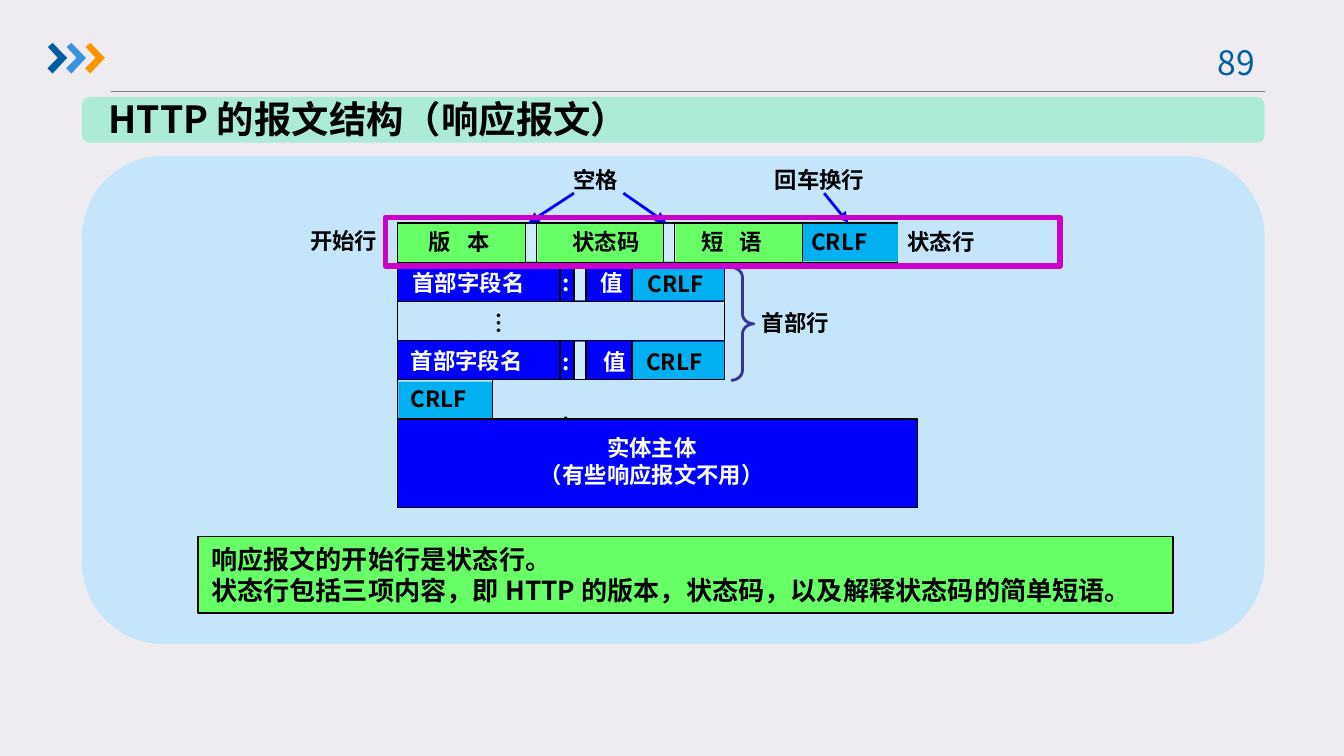
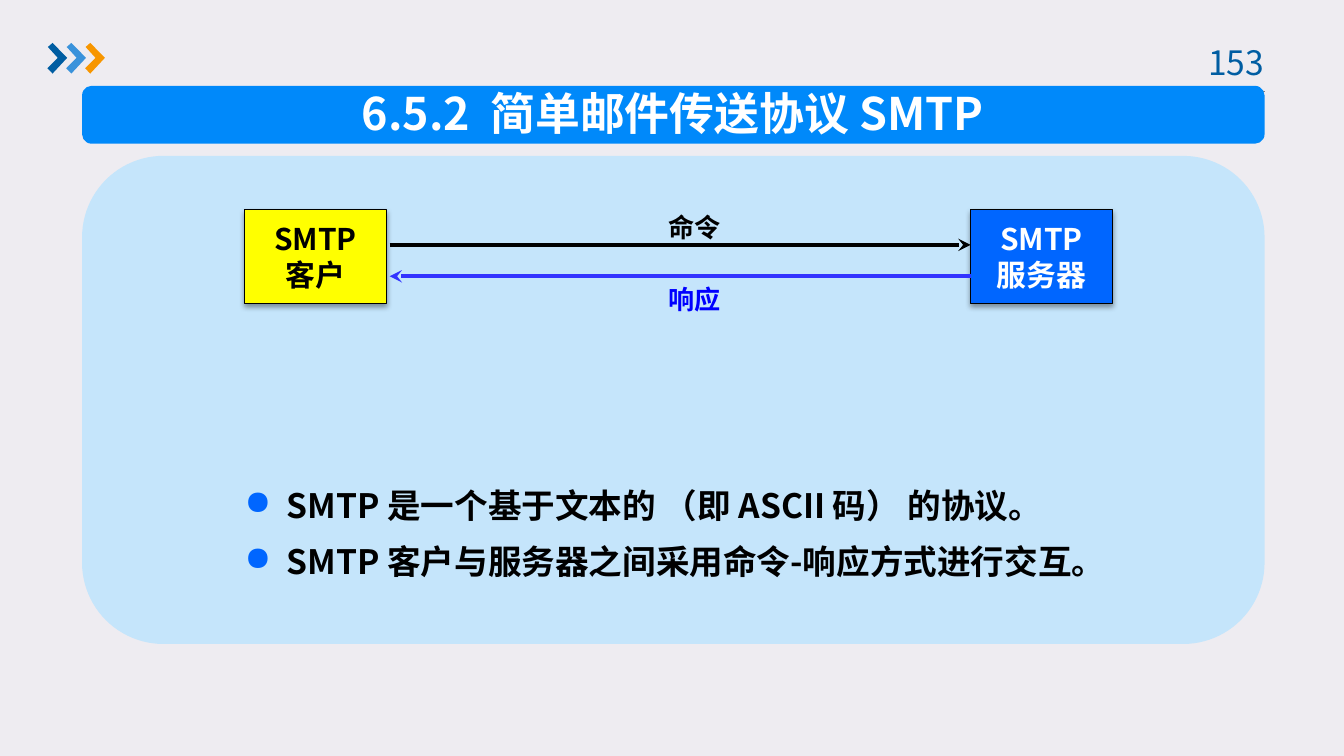
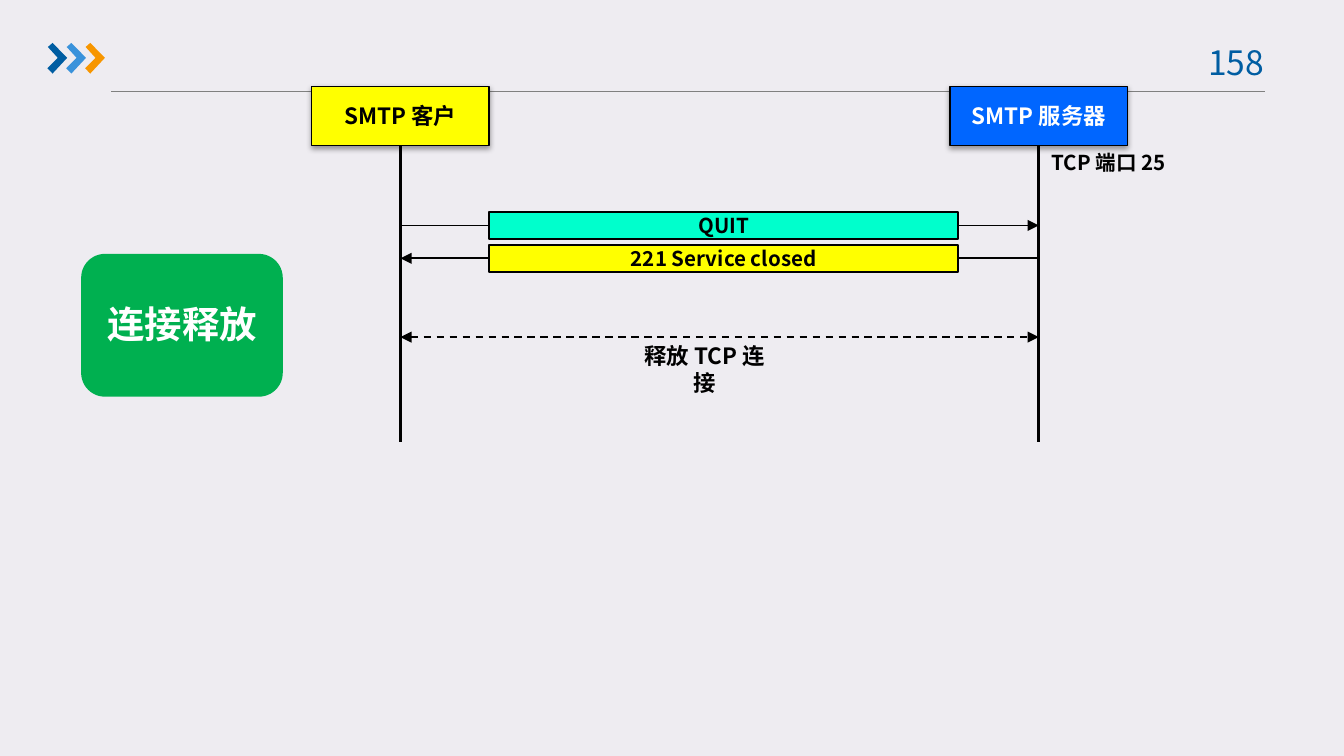
from lxml import etree
from pptx import Presentation
from pptx import util as u
from pptx.dml.color import RGBColor
from pptx.enum import dml, shapes, text
from pptx.oxml import ns

Pt = u.Pt
FONT = "Noto Sans CJK SC"
RECT = shapes.MSO_SHAPE.RECTANGLE
ROUND = shapes.MSO_SHAPE.ROUNDED_RECTANGLE
LEFT, CENTER = text.PP_ALIGN.LEFT, text.PP_ALIGN.CENTER
TOP, MIDDLE = text.MSO_ANCHOR.TOP, text.MSO_ANCHOR.MIDDLE

C = {
    "page": "EEECF1", "rule": "808080", "navy": "005DA2", "sky": "3992DB",
    "orange": "F79600", "panel": "C5E5FB", "mint": "ABEBD7", "band": "0089FA",
    "black": "000000", "white": "FFFFFF", "blue": "0000FF", "lime": "66FF66",
    "cyan": "00B0F0", "gap": "CCECFF", "brace": "333399", "magenta": "CC00CC",
    "yellow": "FFFF00", "server": "0066FF", "reply": "3333FF",
    "green": "00B050", "aqua": "00FFCC",
}
C = {name: RGBColor.from_string(value) for name, value in C.items()}


def box(slide, x, y, w, h, words="", size=12, ink="black", bold=True, kind=None,
        fill=None, outline=None, weight=0.75, adjust=(), align=CENTER,
        anchor=MIDDLE, spacing=0, wrap=False, shadow=False):
    """A preset shape, or a text box when no kind is given."""
    place = Pt(x), Pt(y), Pt(w), Pt(h)
    if kind is None:
        shape = slide.shapes.add_textbox(*place)
        anchor = TOP
    else:
        shape = slide.shapes.add_shape(kind, *place)
        shape.shadow.inherit = False
        wrap = True
        for i, value in enumerate(adjust):
            shape.adjustments[i] = value
        if fill:
            shape.fill.solid()
            shape.fill.fore_color.rgb = C[fill]
        else:
            shape.fill.background()
        if outline:
            shape.line.color.rgb = C[outline]
            shape.line.width = Pt(weight)
        else:
            shape.line.fill.background()
    if shadow:
        effects = shape._element.spPr.find(ns.qn("a:effectLst"))
        outer = etree.SubElement(effects, ns.qn("a:outerShdw"), blurRad=str(Pt(3.1)),
                                 dist=str(Pt(1.6)), dir="5400000", rotWithShape="0")
        tint = etree.SubElement(outer, ns.qn("a:srgbClr"), val=str(C["black"]))
        etree.SubElement(tint, ns.qn("a:alpha"), val="38000")
    if words:
        frame = shape.text_frame
        frame.word_wrap = wrap
        frame.vertical_anchor = anchor
        if kind is None:
            frame.auto_size = text.MSO_AUTO_SIZE.SHAPE_TO_FIT_TEXT
        for i, line in enumerate(words.split("\n")):
            paragraph = frame.add_paragraph() if i else frame.paragraphs[0]
            paragraph.alignment = align
            run = paragraph.add_run()
            run.text = line
            run.font.size = Pt(size)
            run.font.bold = bold
            run.font.name = FONT
            run.font.color.rgb = C[ink]
            props = run._r.get_or_add_rPr()
            etree.SubElement(props, ns.qn("a:ea"), typeface=FONT)
            if spacing:
                props.set("spc", str(spacing * 100))
    return shape


def connect(slide, x1, y1, x2, y2, color="black", weight=0.75, head=None, tail=None,
            dashed=False):
    """A straight line with optional arrowheads at its start and end."""
    line = slide.shapes.add_connector(shapes.MSO_CONNECTOR.STRAIGHT,
                                      Pt(x1), Pt(y1), Pt(x2), Pt(y2))
    line.line.color.rgb = C[color]
    line.line.width = Pt(weight)
    if dashed:
        line.line.dash_style = dml.MSO_LINE.DASH
    for tag, arrow in (("a:headEnd", head), ("a:tailEnd", tail)):
        if arrow:
            etree.SubElement(line.line._get_or_add_ln(), ns.qn(tag), type=arrow)
    etree.SubElement(line._element.spPr, ns.qn("a:effectLst"))
    return line


prs = Presentation()
prs.slide_width, prs.slide_height = Pt(720), Pt(405)

# Shared frame: background, rule, chevrons, page number, content panel
EDGE, SPAN = 44, 633.5
CHEVRON = [(25.7, 25.2), (28.2, 23), (36, 31), (28.2, 39.4), (25.4, 36.6), (31, 31)]
slides = []
for number, has_panel in ((89, True), (153, True), (158, False)):
    slide = prs.slides.add_slide(prs.slide_layouts[6])
    slide.background.fill.solid()
    slide.background.fill.fore_color.rgb = C["page"]
    connect(slide, 59.5, 49, EDGE + SPAN, 49, "rule")
    for i, color in enumerate(("navy", "sky", "orange")):
        corners = [(Pt(x + 10.1 * i), Pt(y)) for x, y in CHEVRON]
        outline = slide.shapes.build_freeform(*corners[0], scale=1.0)
        outline.add_line_segments(corners[1:], close=True)
        chevron = outline.convert_to_shape()
        chevron.shadow.inherit = False
        chevron.fill.solid()
        chevron.fill.fore_color.rgb = C[color]
        chevron.line.fill.background()
    box(slide, 636, 18.7, 52.5, 29, str(number), 18, "navy", bold=False, wrap=True)
    if has_panel:
        box(slide, EDGE, 83.5, SPAN, 261.5, kind=ROUND, fill="panel")
    slides.append(slide)
response, smtp, release = slides

# Slide 1: title
box(response, EDGE, 52, SPAN, 24.5, kind=ROUND, fill="mint", adjust=[0.167])
box(response, 51, 48.2, 298, 31.7, "HTTP 的报文结构（响应报文）", 20, align=LEFT)

# Message rows: status, header, dots, header, blank line, body
ROW = 21
status, header, dots, last_header, blank, body = [119.5 + ROW * i for i in range(6)]
start = 213
for y in (header, last_header):
    box(response, start, y, 175, ROW, kind=RECT, fill="blue", outline="black")
    box(response, 338.5, y + 0.5, 49.5, 20, kind=RECT, fill="cyan")
    box(response, 307.5, y + 0.5, 6.5, 20, kind=RECT, fill="gap")
box(response, start, status, 268, ROW, kind=RECT, fill="lime", outline="black")
box(response, 430, status + 0.5, 51, 20, kind=RECT, fill="cyan")
for x in (281.5, 355.5):
    box(response, x, status + 0.5, 6.5, 20, kind=RECT, fill="gap")
box(response, start + 0.5, blank + 1, 50.5, 20, kind=RECT, fill="cyan")

# Field separators
for y, edges in ((status, (281.5, 287.5, 355.5, 361.5, 430)),
                 (header, (300, 307.5, 314, 338.5)),
                 (dots, (start, 388)),
                 (last_header, (300, 307.5, 314, 338.5)),
                 (blank, (start, 264))):
    for x in edges:
        connect(response, x, y, x, y + ROW)

# Field labels
for x, y, w, words, ink, spacing in (
        (222.5, 118.8, 49.5, "版 本", "black", 3),
        (299.5, 118.8, 51, "状态码", "black", 0),
        (368.5, 118.8, 49.5, "短 语", "black", 3),
        (427.5, 118.8, 44.5, "CRLF", "black", 0),
        (479, 118.8, 51, "状态行", "black", 0),
        (214, 140.4, 75, "首部字段名", "white", 0),
        (294.5, 140.4, 18, ":", "white", 0),
        (314.5, 140.4, 26.5, "值", "white", 0),
        (340, 141, 44.5, "CRLF", "black", 0),
        (213, 182.2, 75, "首部字段名", "white", 0),
        (294.5, 182.8, 18, ":", "white", 0),
        (316, 182.8, 26.5, "值", "white", 0),
        (339.2, 182.8, 44.5, "CRLF", "black", 0),
        (213, 203, 44.5, "CRLF", "black", 0),
        (294, 214.5, 18, ":", "black", 0),
        (401, 162, 51, "首部行", "black", 0),
        (300, 85.7, 39, "空格", "black", 0),
        (408, 85.7, 63.5, "回车换行", "black", 0)):
    box(response, x, y, w, 21.6, words, ink=ink, align=LEFT, spacing=spacing)
box(response, 254, 162.7, 26, 21.6, "…", align=LEFT).rotation = 270

# Brace, body, pointers
box(response, 391.7, 143.3, 12.2, 60.5, kind=shapes.MSO_SHAPE.RIGHT_BRACE,
    outline="brace", weight=1.5, adjust=[0.439, 0.5])
box(response, start, body, 278.5, 47.5, kind=RECT, fill="blue", outline="black")
box(response, 281.5, 229, 135.5, 36, "实体主体\n（有些响应报文不用）", ink="white")
for x1, x2 in ((334, 357), (307.5, 283), (441.5, 454.5)):
    connect(response, x1, 103.5, x2, status, "blue", 1.5, tail="triangle")

# Start line frame and summary
box(response, 206.5, 116.5, 361.5, 26, kind=RECT, outline="magenta", weight=3)
box(response, 159, 118, 51, 21.6, "开始行", align=LEFT)
box(response, 106, 287.5, 522.5, 41,
    "响应报文的开始行是状态行。\n"
    "状态行包括三项内容，即 HTTP 的版本，状态码，以及解释状态码的简单短语。",
    14, kind=RECT, fill="lime", outline="black", align=LEFT, anchor=TOP)

# Slide 2: title
box(smtp, EDGE, 46, SPAN, 31, kind=ROUND, fill="band", adjust=[0.167])
box(smtp, 180.5, 42.5, 359.5, 36, "6.5.2  简单邮件传送协议 SMTP", 24, "white")

# Protocol facts
facts = box(smtp, 124, 247.7, 528.5, 67.5,
            "SMTP 是一个基于文本的 （即 ASCII 码） 的协议。\n"
            "SMTP 客户与服务器之间采用命令-响应方式进行交互。",
            18, align=LEFT, wrap=True)
for fact in facts.text_frame.paragraphs:
    fact.line_spacing = Pt(30)
    props = fact._p.get_or_add_pPr()
    props.set("marL", str(Pt(22.5)))
    props.set("indent", str(-Pt(22.5)))
    bullet_color = etree.SubElement(props, ns.qn("a:buClr"))
    etree.SubElement(bullet_color, ns.qn("a:srgbClr"), val=str(C["server"]))
    etree.SubElement(props, ns.qn("a:buChar"), char="●")

# Client and server exchange
for x, words, fill, ink in ((131, "SMTP\n客户", "yellow", "black"),
                            (520, "SMTP\n服务器", "server", "white")):
    box(smtp, x, 112.3, 76, 50.4, words, 16, ink, kind=RECT, fill=fill,
        outline="black", shadow=True)
connect(smtp, 208.7, 131.2, 520, 131.2, weight=2.25, tail="stealth")
connect(smtp, 208.7, 148, 520, 148, "reply", 2.25, head="stealth")
box(smtp, 351, 109.5, 42.5, 24.2, "命令", 14)
box(smtp, 351, 148.2, 42.5, 24.2, "响应", 14, "blue")

# Slide 3: phase name
box(release, 43.5, 136, 108, 76.5, kind=ROUND, fill="green", adjust=[0.167])
box(release, 50.2, 157.7, 95, 31.7, "连接释放", 20, "white")

# Client and server lifelines
client_x, server_x = 214.5, 556.5
for x, words, fill, ink in ((client_x, "SMTP 客户", "yellow", "black"),
                            (server_x, "SMTP 服务器", "server", "white")):
    party = box(release, x - 47.5, 46.2, 95, 31.8, words, 12, ink, kind=RECT,
                fill=fill, outline="black", shadow=True)
    lifeline = connect(release, x, 78, x, 236.8, weight=1.5)
    lifeline.begin_connect(party, 2)
box(release, 551.5, 77, 85, 20.9, "TCP 端口 25", 11)

# Messages
for y, words, fill, head, tail in (
        (120.8, "QUIT", "aqua", None, "triangle"),
        (138.4, "221 Service closed", "yellow", "triangle", None)):
    connect(release, client_x, y, server_x, y, weight=1, head=head, tail=tail)
    box(release, 262, y - 7.2, 251.5, 14.4, words, 11, kind=RECT, fill=fill,
        outline="black", weight=1)
connect(release, client_x, 180.6, server_x, 180.6, weight=1,
        head="triangle", tail="triangle", dashed=True)
box(release, 333.5, 180, 88, 36, "释放 TCP 连接", wrap=True)

prs.save("out.pptx")
